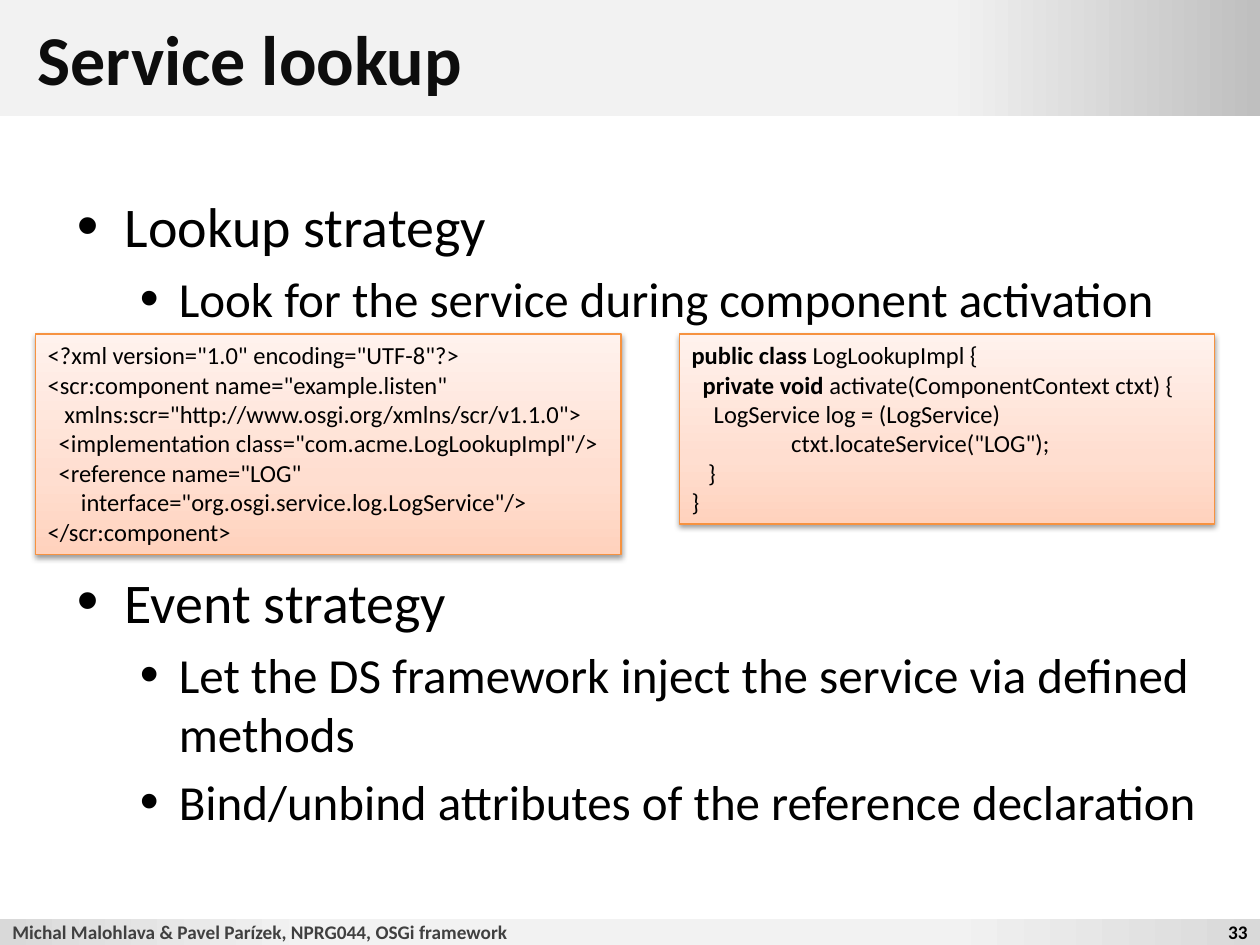
import pptx
import pptx.util
import pptx.dml.color
import pptx.enum.shapes
import pptx.enum.text
import pptx.oxml
import pptx.oxml.ns
from pptx.util import Inches

RGBColor = pptx.dml.color.RGBColor
BLACK = RGBColor(0x00, 0x00, 0x00)
TITLE_INK = RGBColor(0x0D, 0x0D, 0x0D)
FOOTER_INK = RGBColor(0x40, 0x40, 0x40)
ORANGE = RGBColor(0xF6, 0x92, 0x40)
PALE = RGBColor(0xF2, 0xF2, 0xF2)
SILVER = RGBColor(0xD9, 0xD9, 0xD9)
GRAY = RGBColor(0xBF, 0xBF, 0xBF)
PEACH = RGBColor(0xFF, 0xD2, 0xBD)
LIGHT_PEACH = RGBColor(0xFF, 0xDE, 0xD0)
CREAM = RGBColor(0xFF, 0xF2, 0xED)

NAMESPACE = pptx.oxml.ns.nsdecls("a")
ANCHOR = pptx.enum.text.MSO_ANCHOR
ALIGN = pptx.enum.text.PP_ALIGN


def add_gradient_box(page, place, stops, angle):
    """Add a shadowless rectangle filled with (percent, colour) stops."""
    box = page.shapes.add_shape(
        pptx.enum.shapes.MSO_SHAPE.RECTANGLE, *[Inches(n) for n in place])
    box.shadow.inherit = False
    box.fill.gradient()
    box.fill.gradient_angle = 0
    gradient = box._element.spPr.find(pptx.oxml.ns.qn("a:gradFill"))
    stop_list = gradient.find(pptx.oxml.ns.qn("a:gsLst"))
    for old_stop in list(stop_list):
        stop_list.remove(old_stop)
    for percent, color in stops:
        stop_list.append(pptx.oxml.parse_xml(
            f'<a:gs {NAMESPACE} pos="{percent * 1000}"><a:srgbClr val="{color}"/></a:gs>'))
    gradient.find(pptx.oxml.ns.qn("a:lin")).set("ang", str(angle * 60000))
    return box


def style(span, size, color, bold=False):
    span.font.name = "Calibri"
    span.font.size = pptx.util.Pt(size)
    span.font.color.rgb = color
    span.font.bold = bold


deck = pptx.Presentation()
deck.slide_width, deck.slide_height = Inches(10), Inches(7.5)
page = deck.slides.add_slide(deck.slide_layouts[1])

# Header and footer bands, behind the placeholders
bands = [
    ((0, 0, 10, 0.92), [(75, PALE), (100, GRAY)]),
    ((0, 7.29, 10, 0.21), [(0, SILVER), (25, PALE), (75, PALE), (100, SILVER)]),
]
for place, stops in bands:
    band = add_gradient_box(page, place, stops, 0)
    band.line.fill.background()
    page.shapes._spTree.insert(2, band._element)

# Title
title = page.shapes.title
title.left, title.top, title.width, title.height = [
    Inches(n) for n in (0.2, 0, 9.61, 0.92)]
title.text_frame.text = "Service lookup"
title.text_frame.auto_size = pptx.enum.text.MSO_AUTO_SIZE.NONE
title.text_frame.vertical_anchor = ANCHOR.MIDDLE
title.text_frame.paragraphs[0].alignment = ALIGN.LEFT
style(title.text_frame.paragraphs[0].runs[0], 40, TITLE_INK, True)

# Footer text and page number
footers = [
    ((0, 7.29, 9.41, 0.21), "Michal Malohlava & Pavel Parízek, NPRG044, OSGi framework",
     ALIGN.LEFT, FOOTER_INK),
    ((9.49, 7.29, 0.51, 0.21), "33", ALIGN.RIGHT, BLACK),
]
for place, text, alignment, color in footers:
    box = page.shapes.add_textbox(*[Inches(n) for n in place])
    frame = box.text_frame
    frame.word_wrap = True
    frame.vertical_anchor = ANCHOR.MIDDLE
    frame.margin_top = frame.margin_bottom = 0
    frame.text = text
    frame.paragraphs[0].alignment = alignment
    style(frame.paragraphs[0].runs[0], 11, color, True)

# Bullet list: level, text, space before in points (room for the code boxes)
bullets = [
    (0, "Lookup strategy", 6.4),
    (1, "Look for the service during component activation", 5.6),
    (0, "Event strategy", 137),
    (1, "Let the DS framework inject the service via defined methods", 5.6),
    (1, "Bind/unbind attributes of the reference declaration", 5.6),
]
levels = [(32, 0.38, -0.38), (28, 0.81, -0.31)]
body = page.placeholders[1]
body.left, body.top, body.width, body.height = [
    Inches(n) for n in (0.51, 1.47, 9.21, 5.51)]
body.text_frame.text = "\n".join(text for _, text, _ in bullets)
body.text_frame.auto_size = pptx.enum.text.MSO_AUTO_SIZE.NONE
for para, (level, _, gap) in zip(body.text_frame.paragraphs, bullets):
    size, margin, indent = levels[level]
    para.level = level
    para.space_before = pptx.util.Pt(gap)
    style(para.runs[0], size, BLACK)
    properties = para._p.get_or_add_pPr()
    properties.set("marL", str(Inches(margin)))
    properties.set("indent", str(Inches(indent)))
    for tag in ('buSzPct val="110000"', 'buFont typeface="Arial"', 'buChar char="•"'):
        properties.append(pptx.oxml.parse_xml(f"<a:{tag} {NAMESPACE}/>"))

# Code boxes: each line is a list of (text, bold) pieces
xml_lines = [[(line, False)] for line in (
    '<?xml version="1.0" encoding="UTF-8"?>',
    '<scr:component name="example.listen"',
    '   xmlns:scr="http://www.osgi.org/xmlns/scr/v1.1.0">',
    '  <implementation class="com.acme.LogLookupImpl"/>',
    '  <reference name="LOG"',
    '      interface="org.osgi.service.log.LogService"/>',
    '</scr:component>',
)]
java_lines = [
    [("public class ", True), ("LogLookupImpl {", False)],
    [("  ", False), ("private void ", True), ("activate(ComponentContext ctxt) {", False)],
    [("    LogService log = (LogService)", False)],
    [('                  ctxt.locateService("LOG");', False)],
    [("   }", False)],
    [("}", False)],
]
code_boxes = [((0.28, 2.65, 4.65, 1.75), xml_lines),
              ((5.39, 2.65, 4.25, 1.51), java_lines)]
for place, lines in code_boxes:
    box = add_gradient_box(
        page, place, [(0, PEACH), (35, LIGHT_PEACH), (100, CREAM)], 270)
    box.line.color.rgb = ORANGE
    box.line.width = pptx.util.Pt(0.75)
    effects = box._element.spPr.find(pptx.oxml.ns.qn("a:effectLst"))
    effects.append(pptx.oxml.parse_xml(
        f'<a:outerShdw {NAMESPACE} blurRad="{pptx.util.Pt(3.1)}" '
        f'dist="{pptx.util.Pt(1.6)}" dir="5400000" rotWithShape="0">'
        f'<a:srgbClr val="{BLACK}"><a:alpha val="38000"/></a:srgbClr></a:outerShdw>'))
    frame = box.text_frame
    frame.word_wrap = True
    frame.auto_size = pptx.enum.text.MSO_AUTO_SIZE.SHAPE_TO_FIT_TEXT
    frame.vertical_anchor = ANCHOR.TOP
    for number, pieces in enumerate(lines):
        para = frame.add_paragraph() if number else frame.paragraphs[0]
        para.alignment = ALIGN.LEFT
        for text, bold in pieces:
            span = para.add_run()
            span.text = text
            style(span, 14, BLACK, bold)

deck.save("out.pptx")
